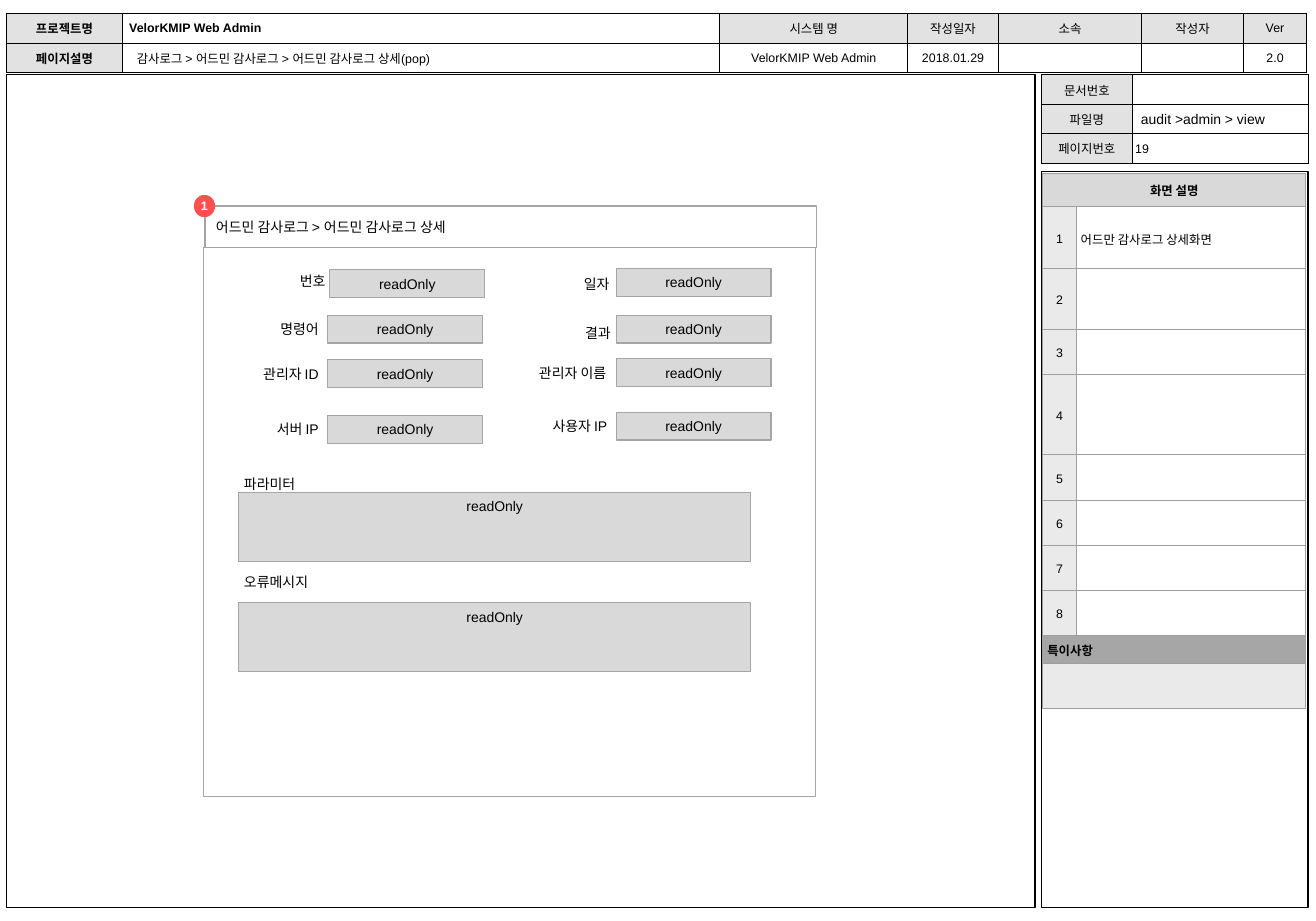
"""Build a wireframe page for the admin audit log detail view."""
import pptx
import pptx.dml.color
import pptx.enum.shapes
import pptx.enum.text
import pptx.oxml.ns
import pptx.util
from lxml import etree

RGB = pptx.dml.color.RGBColor
SHAPE = pptx.enum.shapes.MSO_SHAPE
ALIGN = pptx.enum.text.PP_ALIGN
ANCHOR = pptx.enum.text.MSO_ANCHOR

BLACK = RGB(0x00, 0x00, 0x00)
WHITE = RGB(0xFF, 0xFF, 0xFF)
HEAD = RGB(0xE2, 0xE2, 0xE2)
PALE = RGB(0xEA, 0xEA, 0xEA)
FIELD = RGB(0xD9, 0xD9, 0xD9)
NOTE = RGB(0xA6, 0xA6, 0xA6)
EDGE = RGB(0xA5, 0xA5, 0xA5)
RULE = RGB(0x9F, 0x9F, 0x9F)
RED = RGB(0xFF, 0x50, 0x50)

WIDTH, HEIGHT = pptx.util.Cm(30), pptx.util.Cm(21)
UNIT = pptx.util.Inches(0.1)
PAD = (1, 0.5)
NONE = (0, 0)

INFO = [
    ["프로젝트명", "VelorKMIP Web Admin", "시스템 명", "작성일자", "소속", "작성자", "Ver"],
    ["페이지설명", "", "VelorKMIP Web Admin", "2018.01.29", "", "", "2.0"],
]
PAGE = [["문서번호", ""], ["파일명", ""], ["페이지번호", ""]]
GUIDE = ([["화면 설명", ""], ["1", "어드만 감사로그 상세화면"]]
         + [[str(n), ""] for n in range(2, 9)]
         + [["특이사항", ""], ["", ""]])

# Each entry: label text, label place (left, top, width), field place (left, top).
PAIRS = [
    ("번호", (20.3, 24.5, 8.9), (29.6, 24.2)),
    ("일자", (46.9, 24.7, 7.8), (55.3, 24.1)),
    ("명령어", (20.7, 28.8, 7.9), (29.4, 28.3)),
    ("결과", (45, 29.1, 9.8), (55.3, 28.3)),
    ("관리자 ID", (22.2, 32.8, 6.4), (29.4, 32.3)),
    ("관리자 이름", (45.5, 32.7, 8.9), (55.3, 32.2)),
    ("서버 IP", (22.2, 37.8, 6.4), (29.4, 37.3)),
    ("사용자 IP", (48.1, 37.5, 6.4), (55.3, 37)),
]
AREAS = [("파라미터", 42.7, 44.2), ("오류메시지", 51.5, 54.1)]


def grid(*sizes):
    """Turn grid counts into slide lengths."""
    return [round(size * UNIT) for size in sizes]


def write(frame, text, size, color=BLACK, bold=False, align=ALIGN.LEFT):
    """Put one styled line of text in a frame."""
    frame.text = text
    line = frame.paragraphs[0]
    line.alignment = align
    for run in line.runs:
        font = run.font
        font.name, font.size, font.bold = "Arial", pptx.util.Pt(size), bold
        font.color.rgb = color
    return line


def inset(frame, pad, anchor):
    """Set the wrap, margins and anchor of a frame."""
    frame.word_wrap = True
    frame.margin_left = frame.margin_right = round(pad[0] * UNIT)
    frame.margin_top = frame.margin_bottom = round(pad[1] * UNIT)
    frame.vertical_anchor = anchor


def label(slide, place, text, size=9, pad=NONE, align=ALIGN.LEFT):
    """Add a plain text box."""
    frame = slide.shapes.add_textbox(*grid(*place)).text_frame
    inset(frame, pad, ANCHOR.TOP)
    write(frame, text, size, align=align)


def panel(slide, place, fill=None, line=EDGE, kind=SHAPE.RECTANGLE):
    """Add a flat shape and return its text frame."""
    shape = slide.shapes.add_shape(kind, *grid(*place))
    shape.shadow.inherit = False
    if fill is None:
        shape.fill.background()
    else:
        shape.fill.solid()
        shape.fill.fore_color.rgb = fill
    if line is None:
        shape.line.fill.background()
    else:
        shape.line.color.rgb = line
        shape.line.width = pptx.util.Pt(0.75)
    return shape.text_frame


def field(slide, place):
    """Add a grey read-only input."""
    frame = panel(slide, place, FIELD)
    inset(frame, PAD, ANCHOR.TOP)
    write(frame, "readOnly", 9, align=ALIGN.CENTER)


def border(cell, color):
    """Draw the four sides of a cell."""
    props = cell._tc.get_or_add_tcPr()
    name = pptx.oxml.ns.qn
    for side in ("a:lnL", "a:lnR", "a:lnT", "a:lnB"):
        line = etree.SubElement(props, name(side), w=str(pptx.util.Pt(0.75)))
        fill = etree.SubElement(line, name("a:solidFill"))
        etree.SubElement(fill, name("a:srgbClr"), val=str(color))


def table(slide, place, wide, high, data, style, edge, pad, merged=()):
    """Add a table whose style rule gives fill, bold, align and spacing."""
    shape = slide.shapes.add_table(len(high), len(wide), *grid(*place))
    chart = shape.table
    chart.first_row = chart.horz_banding = False
    for col, size in zip(chart.columns, grid(*wide)):
        col.width = size
    for row, size in zip(chart.rows, grid(*high)):
        row.height = size
    for r, line in enumerate(data):
        for c, text in enumerate(line):
            cell = chart.cell(r, c)
            fill, bold, align, space = style(r, c)
            border(cell, edge)
            cell.fill.solid()
            cell.fill.fore_color.rgb = fill
            cell.margin_left = cell.margin_right = round(pad[0] * UNIT)
            cell.margin_top = cell.margin_bottom = round(pad[1] * UNIT)
            cell.vertical_anchor = ANCHOR.MIDDLE
            para = write(cell.text_frame, text, 8, bold=bold, align=align)
            para.line_spacing = space
            if not text:
                etree.SubElement(para._p, pptx.oxml.ns.qn("a:endParaRPr"), sz="800")
    for r in merged:
        chart.cell(r, 0).merge(chart.cell(r, len(wide) - 1))


def info(r, c):
    """Style the project table."""
    head = c == 0 or (r == 0 and c != 1)
    bold = c == 0 or (r == 0 and c == 1)
    return HEAD if head else WHITE, bold, ALIGN.LEFT if c == 1 else ALIGN.CENTER, 1.0


def page(r, c):
    """Style the file table."""
    return WHITE if c else HEAD, False, ALIGN.CENTER, 1.0


def guide(r, c):
    """Style the screen notes table."""
    if r == 0:
        return FIELD, True, ALIGN.CENTER, 1.0
    if r == 9:
        return NOTE, True, ALIGN.LEFT, 1.0
    if r == 10:
        return PALE, False, ALIGN.LEFT, 1.0
    return (WHITE, False, ALIGN.LEFT, 1.2) if c else (PALE, False, ALIGN.CENTER, 1.2)


def frame(slide):
    """Add the sheet's tables and outer frames."""
    table(slide, (93.5, 6.7, 23.9, 7.9), (8.1, 15.8), (2.7, 2.6, 2.6),
          PAGE, page, BLACK, (0.6, 0.5))
    table(slide, (0.6, 1.2, 116.7, 5.3), (10.4, 53.6, 16.9, 8.1, 12.9, 9.1, 5.7),
          (2.7, 2.6), INFO, info, BLACK, (0.6, 0.5))
    label(slide, (100.9, 12.2, 5.2, 2.4), "19", 8, PAD)
    panel(slide, (0.6, 6.7, 92.3, 74.8), line=BLACK)
    panel(slide, (93.5, 15.4, 23.9, 66.1), WHITE, BLACK)
    table(slide, (93.6, 15.6, 23.6, 47.8), (3, 20.6),
          (2.9, 5.65, 5.4, 4.1, 7.2, *[4.06] * 4, 2.5, 4.06),
          GUIDE, guide, RULE, (0.4, 0.4), (0, 9, 10))
    label(slide, (11.3, 4.1, 36, 2), "감사로그 > 어드민 감사로그 > 어드민 감사로그 상세(pop)", 8, PAD)
    label(slide, (102.4, 9.9, 13.1, 1.5), "audit >admin > view")


def popup(slide):
    """Add the detail window with its fields."""
    title = panel(slide, (18.4, 18.5, 54.9, 3.7), WHITE)
    inset(title, PAD, ANCHOR.MIDDLE)
    write(title, "어드민 감사로그 > 어드민 감사로그 상세", 9)
    panel(slide, (18.3, 22.2, 54.9, 49.3), WHITE)
    for text, (left, top, width), spot in PAIRS:
        field(slide, (*spot, 13.9, 2.5))
        label(slide, (left, top, width, 1.5), text, align=ALIGN.RIGHT)
    for text, top, base in AREAS:
        label(slide, (21.9, top, 6.4, 1.5), text)
        field(slide, (21.4, base, 46, 6.2))
    badge = panel(slide, (17.4, 17.5, 1.9, 2), RED, None, SHAPE.OVAL)
    inset(badge, NONE, ANCHOR.MIDDLE)
    write(badge, "1", 8, WHITE, True, ALIGN.CENTER)


def main():
    """Build and save the slide."""
    deck = pptx.Presentation()
    deck.slide_width, deck.slide_height = WIDTH, HEIGHT
    slide = deck.slides.add_slide(deck.slide_layouts[6])
    frame(slide)
    popup(slide)
    deck.save("out.pptx")


if __name__ == "__main__":
    main()
